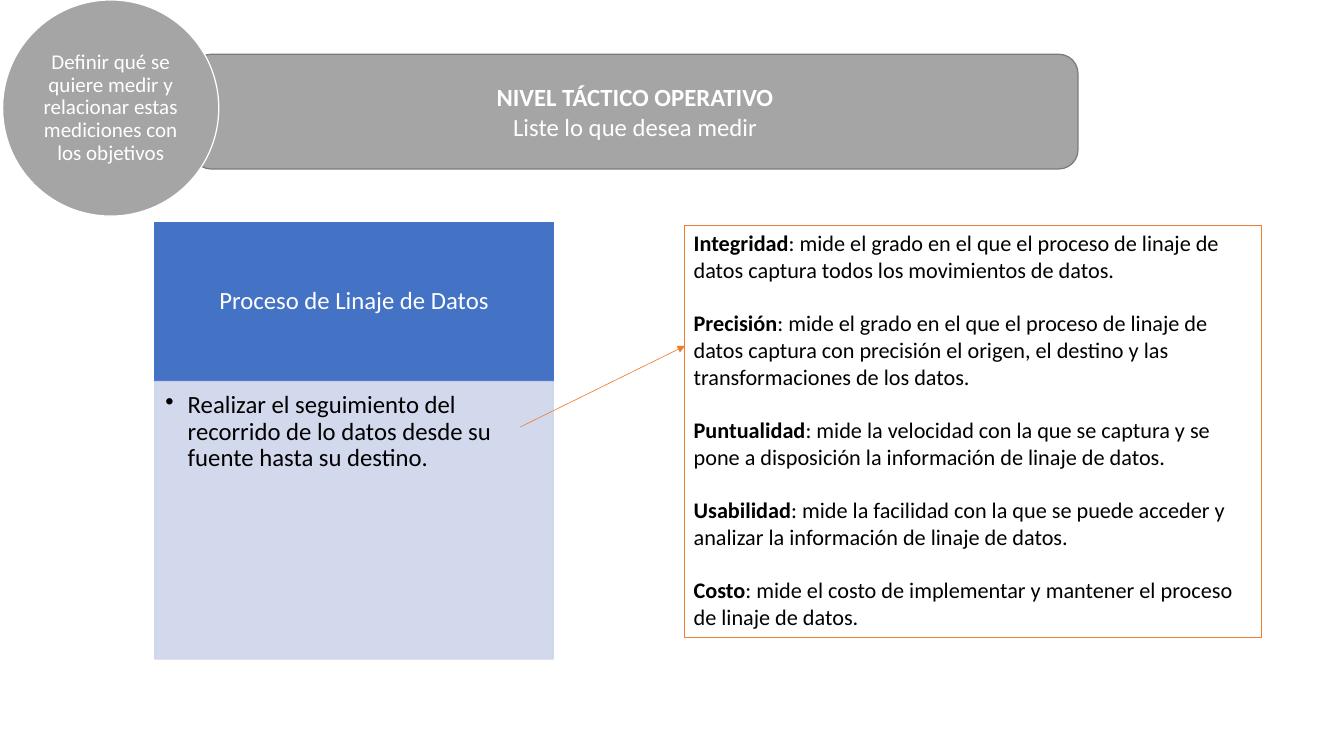
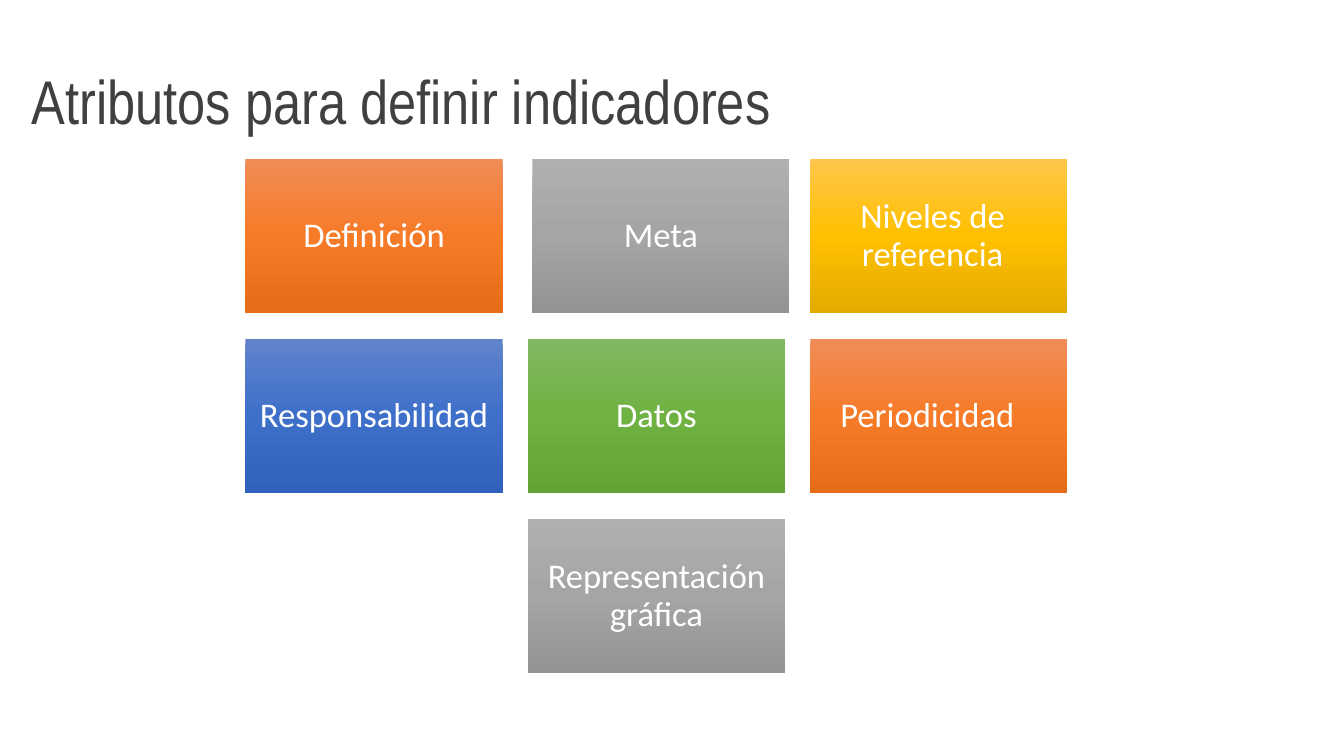
from copy import deepcopy

from lxml import etree
from pptx import Presentation
from pptx.dml.color import RGBColor
from pptx.enum.shapes import MSO_CONNECTOR, MSO_SHAPE
from pptx.enum.text import MSO_ANCHOR, PP_ALIGN
from pptx.oxml.ns import qn
from pptx.util import Inches, Pt

RECTANGLE, ROUNDED, OVAL = MSO_SHAPE.RECTANGLE, MSO_SHAPE.ROUNDED_RECTANGLE, MSO_SHAPE.OVAL
STRAIGHT = MSO_CONNECTOR.STRAIGHT
LEFT, CENTER = PP_ALIGN.LEFT, PP_ALIGN.CENTER
TOP, MIDDLE = MSO_ANCHOR.TOP, MSO_ANCHOR.MIDDLE

WHITE = RGBColor(0xFF, 0xFF, 0xFF)
BLACK = RGBColor(0x00, 0x00, 0x00)
TITLE_GRAY = RGBColor(0x40, 0x40, 0x40)
GRAY = RGBColor(0xA5, 0xA5, 0xA5)
DARK_GRAY = RGBColor(0x7A, 0x7A, 0x7A)
BLUE = RGBColor(0x44, 0x72, 0xC4)
PALE_BLUE = RGBColor(0xCF, 0xD5, 0xEA)
ORANGE = RGBColor(0xED, 0x7D, 0x31)

ORANGE_SHADES = (RGBColor(0xF1, 0x8C, 0x57), RGBColor(0xF6, 0x7B, 0x28), RGBColor(0xE5, 0x6C, 0x19))
GRAY_SHADES = (RGBColor(0xAF, 0xAF, 0xAF), GRAY, RGBColor(0x93, 0x93, 0x93))
GOLD_SHADES = (RGBColor(0xFF, 0xC6, 0x4B), RGBColor(0xFF, 0xC0, 0x00), RGBColor(0xE3, 0xAB, 0x00))
BLUE_SHADES = (RGBColor(0x61, 0x83, 0xCB), RGBColor(0x3E, 0x70, 0xCA), RGBColor(0x30, 0x62, 0xBB))
GREEN_SHADES = (RGBColor(0x81, 0xB8, 0x61), RGBColor(0x6F, 0xB2, 0x42), RGBColor(0x62, 0xA3, 0x36))

BODY_FONT, TITLE_FONT = "Calibri", "Arial Narrow"

METRICS = (
    ("Integridad", "mide el grado en el que el proceso de linaje de datos captura todos los movimientos de datos."),
    ("Precisión", "mide el grado en el que el proceso de linaje de datos captura con precisión el origen, "
                  "el destino y las transformaciones de los datos."),
    ("Puntualidad", "mide la velocidad con la que se captura y se pone a disposición la información "
                    "de linaje de datos."),
    ("Usabilidad", "mide la facilidad con la que se puede acceder y analizar la información de linaje de datos."),
    ("Costo", "mide el costo de implementar y mantener el proceso de linaje de datos."),
)

# label, shades, column, row, horizontal offset, extra right inset
ATTRIBUTES = (
    ("Definición", ORANGE_SHADES, 0, 0, 0, 0),
    ("Meta", GRAY_SHADES, 1, 0, 0.05, 0),
    ("Niveles de referencia", GOLD_SHADES, 2, 0, 0, 0.14),
    ("Responsabilidad", BLUE_SHADES, 0, 1, 0, 0),
    ("Datos", GREEN_SHADES, 1, 1, 0, 0),
    ("Periodicidad", ORANGE_SHADES, 2, 1, 0, 0.26),
    ("Representación gráfica", GRAY_SHADES, 1, 2, 0, 0),
)


def write_text(shape, paragraphs, size=20, color=WHITE, font=BODY_FONT, align=CENTER, anchor=MIDDLE,
               insets=(0.1, 0.05, 0.1, 0.05), spacing=1.0, gap=0, bullet=None):
    """Fill a shape with paragraphs, each a sequence of (text, bold) runs."""
    frame = shape.text_frame
    frame.word_wrap = True
    frame.vertical_anchor = anchor
    frame.margin_left, frame.margin_top, frame.margin_right, frame.margin_bottom = map(Inches, insets)
    for index, runs in enumerate(paragraphs):
        paragraph = frame.add_paragraph() if index else frame.paragraphs[0]
        paragraph.alignment = align
        paragraph.line_spacing = spacing
        paragraph.space_before = Pt(gap if index else 0)
        if bullet:
            properties = paragraph._p.get_or_add_pPr()
            properties.set("marL", str(Inches(0.25)))
            properties.set("indent", str(Inches(-0.25)))
            etree.SubElement(properties, qn("a:buChar")).set("char", bullet)
        for text, bold in runs:
            run = paragraph.add_run()
            run.text = text
            run.font.size, run.font.name, run.font.bold = Pt(size), font, bold
            run.font.color.rgb = color


def add_box(slide, kind, box, fill=None, line=None, line_width=1):
    """Add a shadowless preset shape with an optional solid fill and outline."""
    shape = slide.shapes.add_shape(kind, *map(Inches, box))
    shape.shadow.inherit = False
    if fill is None:
        shape.fill.background()
    else:
        shape.fill.solid()
        shape.fill.fore_color.rgb = fill
    if line is None:
        shape.line.fill.background()
    else:
        shape.line.color.rgb = line
        shape.line.width = Pt(line_width)
    return shape


def set_opacity(shape, percent):
    """Make the solid fill and outline of a shape partly transparent."""
    for color in shape._element.spPr.iter(qn("a:srgbClr")):
        etree.SubElement(color, qn("a:alpha")).set("val", str(percent * 1000))


def set_gradient(shape, shades):
    """Fill a shape with three shades running from top to bottom."""
    shape.fill.gradient()
    shape.fill.gradient_angle = 270
    stop_list = shape._element.spPr.find(".//" + qn("a:gsLst"))
    stop_list.insert(1, deepcopy(stop_list[0]))
    for stop, shade, position in zip(shape.fill.gradient_stops, shades, (0, 0.5, 1)):
        stop.color.rgb = shade
        stop.position = position


def add_arrow(slide, start, end):
    """Draw a thin orange arrow between two points."""
    arrow = slide.shapes.add_connector(STRAIGHT, *map(Inches, start + end))
    arrow.line.color.rgb = ORANGE
    arrow.line.width = Pt(0.5)
    etree.SubElement(arrow.line._get_or_add_ln(), qn("a:tailEnd")).set("type", "triangle")
    etree.SubElement(arrow._element.spPr, qn("a:effectLst"))


def add_level_header(slide, left, top):
    """Place the level banner with the round goal badge over its left end."""
    banner = add_box(slide, ROUNDED, (left + 2.13, top + 0.61, 9.96, 1.29), GRAY, DARK_GRAY)
    write_text(banner, [[("NIVEL TÁCTICO OPERATIVO", True)], [("Liste lo que desea medir", False)]])
    badge = add_box(slide, OVAL, (left, top, 2.43, 2.43), GRAY, WHITE)
    goal = "Definir qué se quiere medir y relacionar estas mediciones con los objetivos"
    write_text(badge, [[(goal, False)]], size=17, insets=(0.02,) * 4, spacing=0.9)


def add_process_panel(slide, left, top, width, height):
    """Place the process heading above its bulleted description."""
    heading_height = 1.79
    heading = add_box(slide, RECTANGLE, (left, top, width, heading_height), BLUE, BLUE)
    write_text(heading, [[("Proceso de Linaje de Datos", False)]], insets=(0.16, 0.09, 0.16, 0.09), spacing=0.9)
    body_box = (left, top + heading_height, width, height - heading_height)
    body = add_box(slide, RECTANGLE, body_box, PALE_BLUE, PALE_BLUE)
    set_opacity(body, 90)
    description = "Realizar el seguimiento del recorrido de lo datos desde su fuente hasta su destino."
    write_text(body, [[(description, False)]], color=BLACK, align=LEFT, anchor=TOP,
               insets=(0.12, 0.12, 0.16, 0.17), spacing=0.9, bullet="•")


def add_metrics(slide, box):
    """Place the outlined list of metrics."""
    panel = add_box(slide, RECTANGLE, box, line=ORANGE, line_width=0.75)
    paragraphs = [[(name, True), (f": {meaning}", False)] for name, meaning in METRICS]
    write_text(panel, paragraphs, size=18, color=BLACK, align=LEFT, anchor=TOP, gap=21.6)


def add_title(slide, text):
    """Place the slide title."""
    title = slide.shapes.add_textbox(*map(Inches, (0.26, 0.36, 14, 1.64)))
    write_text(title, [[(text, False)]], size=49.9, color=TITLE_GRAY, font=TITLE_FONT, align=LEFT, spacing=0.9)


def add_attribute_grid(slide, left, top, width, height):
    """Spread the attribute tiles over three columns and three rows."""
    tile_width, tile_height = 2.89, 1.73
    column_step, row_step = (width - tile_width) / 2, (height - tile_height) / 2
    for label, shades, column, row, offset, extra in ATTRIBUTES:
        box = (left + column * column_step + offset, top + row * row_step, tile_width, tile_height)
        tile = add_box(slide, RECTANGLE, box)
        set_gradient(tile, shades)
        write_text(tile, [[(label, False)]], size=28, insets=(0.12, 0.12, 0.12 + extra, 0.12), spacing=0.9)


def build_measurement_slide(slide):
    """Build the slide that links the process to its metrics."""
    add_process_panel(slide, 1.74, 2.5, 4.48, 4.91)
    add_level_header(slide, 0.03, 0)
    add_arrow(slide, (5.85, 4.8), (7.7, 3.89))
    add_metrics(slide, (7.7, 2.53, 6.48, 4.64))


def build_attributes_slide(slide):
    """Build the slide that lists the attributes of an indicator."""
    add_title(slide, "Atributos para definir indicadores")
    add_attribute_grid(slide, 2.76, 1.79, 9.24, 5.78)


def main():
    """Build and save the presentation."""
    presentation = Presentation()
    presentation.slide_width, presentation.slide_height = Inches(15.11), Inches(8.5)
    blank = presentation.slide_layouts[6]
    for build in (build_measurement_slide, build_attributes_slide):
        build(presentation.slides.add_slide(blank))
    presentation.save("out.pptx")


if __name__ == "__main__":
    main()
